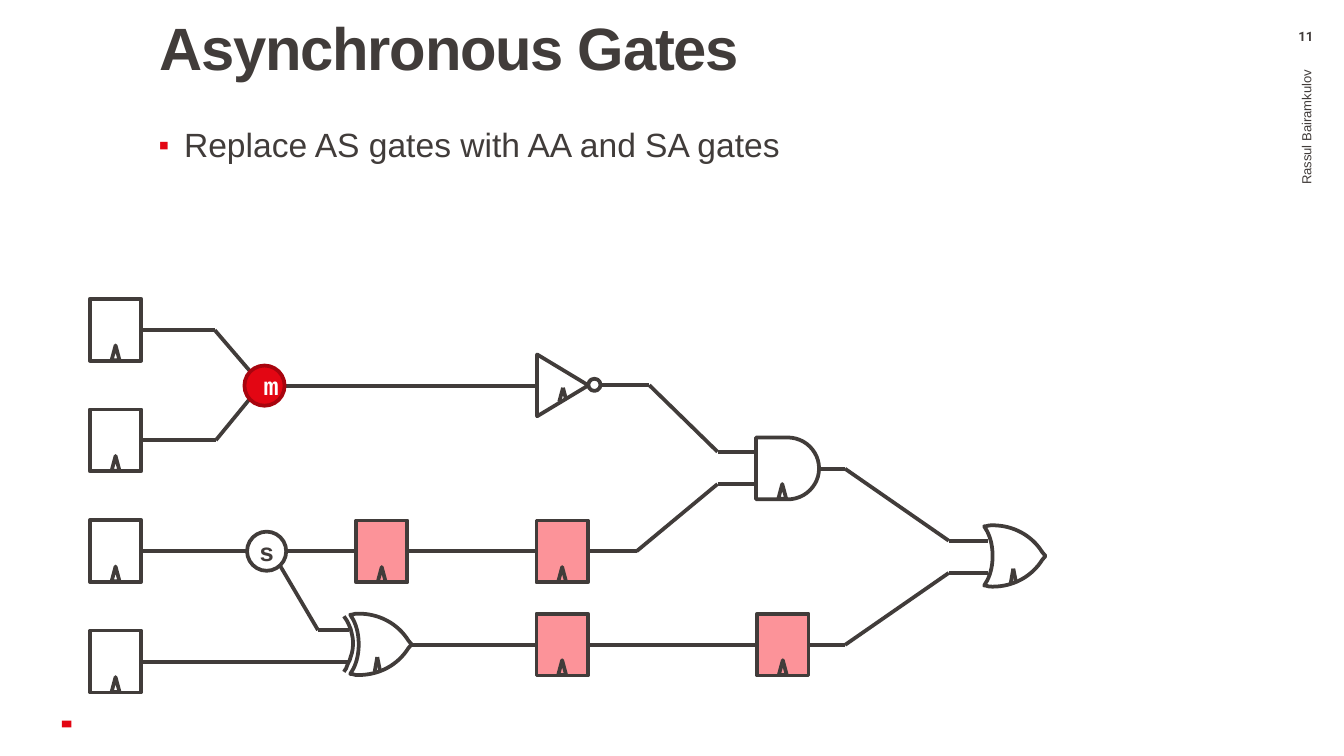
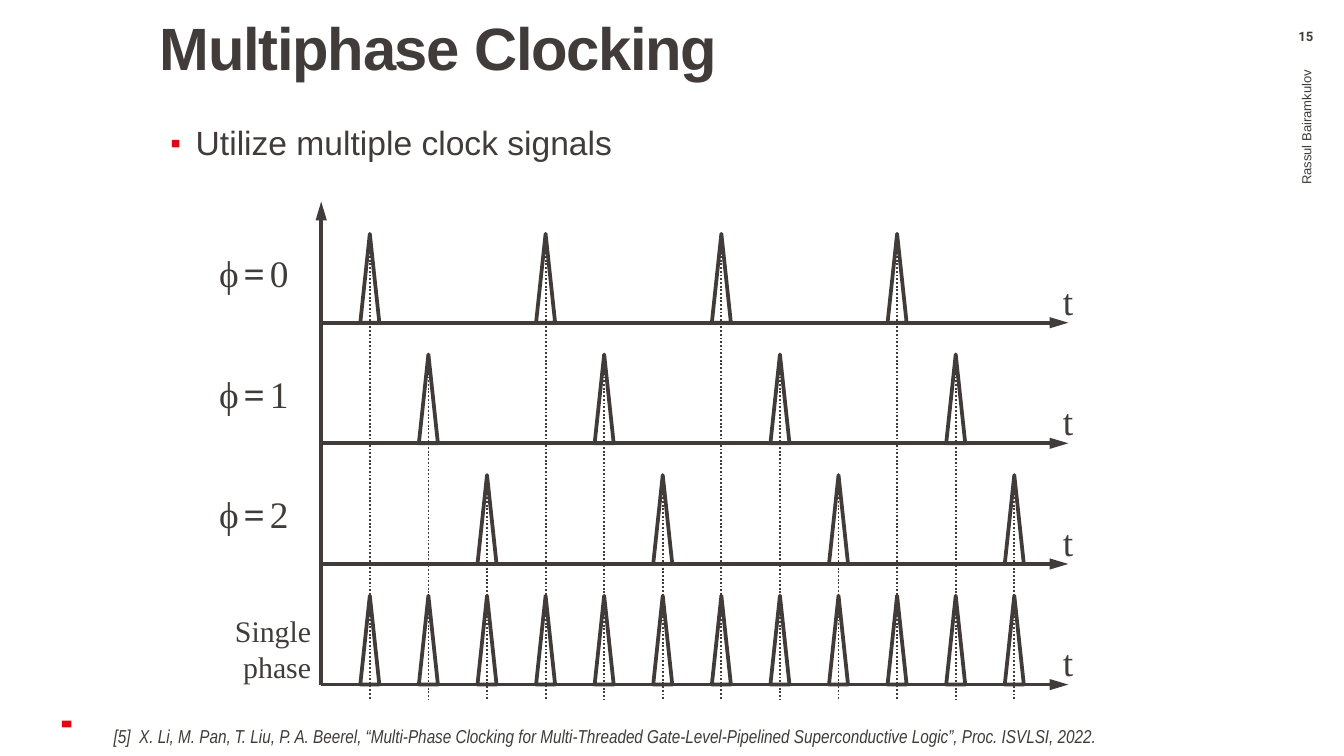
from dataclasses import dataclass
from typing import Optional

from lxml.etree import SubElement as Sub
from pptx import Presentation
from pptx.dml.color import RGBColor as RGB
from pptx.enum.dml import MSO_LINE as Dash
from pptx.enum.shapes import MSO_CONNECTOR as Link, MSO_SHAPE as Kind
from pptx.enum.text import MSO_ANCHOR as Anchor, MSO_AUTO_SIZE as Auto, PP_ALIGN as Align
from pptx.oxml.ns import qn
from pptx.util import Cm, Pt

INK = RGB(0x41, 0x3C, 0x3A)
RED = RGB(0xE3, 0x06, 0x13)
DARK = RGB(0xA8, 0x04, 0x0E)
PINK = RGB(0xFC, 0x93, 0x99)
WHITE = RGB(0xFF, 0xFF, 0xFF)
TITLE_ONLY = 5
Point = tuple[float, float]
Part = list[Point]


@dataclass(frozen=True)
class Box:
    x: float
    y: float
    w: float
    h: float

    def spread(self) -> list[Cm]:
        return [Cm(v) for v in (self.x, self.y, self.w, self.h)]


@dataclass(frozen=True)
class Look:
    size: float
    font: str = "Arial"
    color: RGB = INK
    bold: bool = False
    slant: bool = False


@dataclass(frozen=True)
class Flop:
    x: float
    y: float
    fill: RGB = WHITE


HEAD = Look(32, bold=True)
BODY = Look(18)
SIDE = Look(7)
PAGE = Look(7, "Roboto", bold=True)
NOTE = Look(10, "Arial Narrow", slant=True)
MATH = Look(20, "Times New Roman")
EQUAL = Look(20, "Times New Roman", bold=True)
SPACE = Look(10.5, "Times New Roman")
PHASE = Look(16, "Times New Roman")
SPLIT = Look(13.5, "Courier New", bold=True)
MERGE = Look(13.5, "Courier New", WHITE, bold=True)

FLOPS = [Flop(1.7, 5.65 + 2.09 * row) for row in range(4)] + [
    Flop(6.73, 9.84, PINK), Flop(10.14, 9.84, PINK),
    Flop(10.14, 11.6, PINK), Flop(14.31, 11.6, PINK),
]
WIRES: list[list[Point]] = [
    [(2.67, 6.24), (4.06, 6.24), (4.72, 7.01)],
    [(2.67, 8.32), (4.08, 8.32), (4.72, 7.54)],
    [(5.38, 7.29), (10.16, 7.29)],
    [(2.67, 10.42), (6.73, 10.42)],
    [(7.7, 10.42), (10.14, 10.42)],
    [(11.11, 10.42), (12.03, 10.42), (13.56, 9.15), (14.3, 9.15)],
    [(5.28, 10.67), (6.01, 11.91), (6.6, 11.91)],
    [(2.67, 12.51), (6.6, 12.51)],
    [(7.77, 12.19), (10.14, 12.19)],
    [(11.12, 12.19), (14.31, 12.19)],
    [(15.29, 12.19), (15.97, 12.19), (17.93, 10.83), (18.67, 10.83)],
    [(11.35, 7.28), (12.27, 7.28), (13.56, 8.54), (14.3, 8.54)],
    [(15.47, 8.86), (15.97, 8.86), (17.93, 10.22), (18.67, 10.22)],
]
BODY_ARC: list[Part] = [
    [(0.16, 0)],
    [(0.12, 0), (0.07, 0), (0.03, 0.02)],
    [(0, 0.02)],
    [(0.06, 0.12)],
    [(0.13, 0.26), (0.16, 0.42), (0.16, 0.58)],
    [(0.16, 0.74), (0.13, 0.9), (0.06, 1.04)],
    [(0, 1.14)],
    [(0.03, 1.14)],
    [(0.07, 1.16), (0.12, 1.16), (0.16, 1.16)],
    [(0.55, 1.16), (0.9, 0.97), (1.1, 0.65)],
    [(1.16, 0.58)],
    [(1.1, 0.51)],
    [(0.9, 0.19), (0.55, 0), (0.16, 0)],
]
BACK_ARC: list[Part] = [
    [(-0.12, 0.05)],
    [(-0.08, 0.1), (-0.05, 0.15), (-0.03, 0.2)],
    [(0, 0.26), (0.02, 0.32), (0.03, 0.38)],
    [(0.04, 0.43), (0.05, 0.46), (0.05, 0.5)],
    [(0.05, 0.54), (0.05, 0.58), (0.05, 0.62)],
    [(0.05, 0.66), (0.04, 0.71), (0.03, 0.75)],
    [(0.02, 0.79), (0, 0.83), (-0.01, 0.88)],
    [(-0.03, 0.91), (-0.04, 0.94), (-0.05, 0.96)],
    [(-0.06, 0.99), (-0.06, 1.01), (-0.08, 1.04)],
    [(-0.09, 1.06), (-0.12, 1.09), (-0.12, 1.1)],
]


def style(run, look: Look) -> None:
    font = run.font
    font.size, font.name = Pt(look.size), look.font
    font.bold, font.italic = look.bold, look.slant
    font.color.rgb = look.color


def setup(frame, pad: tuple, anchor=Anchor.TOP) -> None:
    frame.word_wrap = True
    frame.auto_size = Auto.NONE
    frame.vertical_anchor = anchor
    (frame.margin_left, frame.margin_top,
     frame.margin_right, frame.margin_bottom) = [Cm(v) for v in pad]


def write(shape, text: str, look: Look, pad: tuple = (0, 0, 0, 0),
          align=Align.LEFT, anchor=Anchor.TOP):
    frame = shape.text_frame
    frame.text = text
    setup(frame, pad, anchor)
    line = frame.paragraphs[0]
    line.alignment = align
    style(line.runs[0], look)
    return line


def label(slide, box: Box, text: str, look: Look, **more):
    shape = slide.shapes.add_textbox(*box.spread())
    write(shape, text, look, **more)
    return shape


def paint(shape, fill: Optional[RGB], edge: Optional[RGB] = INK):
    shape.shadow.inherit = False
    if fill is None:
        shape.fill.background()
    else:
        shape.fill.solid()
        shape.fill.fore_color.rgb = fill
    if edge is None:
        shape.line.fill.background()
    else:
        shape.line.color.rgb = edge
        shape.line.width = Pt(2)
    return shape


def solid(slide, kind, box: Box, fill: Optional[RGB] = WHITE, edge: Optional[RGB] = INK):
    return paint(slide.shapes.add_shape(kind, *box.spread()), fill, edge)


def wire(slide, start: Point, end: Point, width: float = 2):
    line = slide.shapes.add_connector(Link.STRAIGHT, *[Cm(v) for v in start + end])
    line.line.color.rgb = INK
    line.line.width = Pt(width)
    Sub(line._element.spPr, qn("a:effectLst"))
    return line


def route(slide, stops: list[Point]) -> None:
    for start, end in zip(stops, stops[1:]):
        wire(slide, start, end)


def arrow(slide, start: Point, end: Point) -> None:
    line = wire(slide, start, end)
    Sub(line.line._get_or_add_ln(), qn("a:tailEnd"), type="triangle", w="med", len="lg")


def trace(slide, x: float, y: float, parts: list[Part], fill: Optional[RGB], close: bool):
    dots = [(Cm(x + a), Cm(y + b)) for part in parts for a, b in part]
    pen = slide.shapes.build_freeform(*dots[0])
    pen.add_line_segments(dots[1:], close=close)
    shape = paint(pen.convert_to_shape(), fill)
    steps = iter(list(shape._element.spPr.iter(qn("a:lnTo"))))
    for part in parts[1:]:
        group = [next(steps) for _ in part]
        if len(group) == 3:
            bend = group[0].makeelement(qn("a:cubicBezTo"))
            group[0].addprevious(bend)
            for step in group:
                bend.append(step[0])
                step.getparent().remove(step)


def clock(slide, x: float, y: float, fill: RGB = WHITE) -> None:
    solid(slide, Kind.ISOSCELES_TRIANGLE, Box(x + 0.41, y + 0.88, 0.15, 0.28), fill)


def flop(slide, item: Flop) -> None:
    solid(slide, Kind.RECTANGLE, Box(item.x, item.y, 0.97, 1.17), item.fill)
    clock(slide, item.x, item.y, item.fill)


def or_gate(slide, x: float, y: float, tick: float = 0.55) -> None:
    trace(slide, x, y, BODY_ARC, WHITE, True)
    route(slide, [(x + tick - 0.05, y + 1.1), (x + tick, y + 0.82), (x + tick + 0.05, y + 1.07)])


def xor_gate(slide, x: float, y: float) -> None:
    or_gate(slide, x, y, 0.51)
    trace(slide, x, y, BACK_ARC, None, False)


def not_gate(slide) -> None:
    solid(slide, Kind.ISOSCELES_TRIANGLE, Box(10.05, 6.8, 1.17, 0.97)).rotation = 90
    solid(slide, Kind.OVAL, Box(11.12, 7.16, 0.23, 0.23))
    route(slide, [(10.57, 7.59), (10.64, 7.33), (10.69, 7.52)])


def and_gate(slide) -> None:
    solid(slide, Kind.FLOWCHART_DELAY, Box(14.29, 8.27, 1.19, 1.17))
    clock(slide, 14.3, 8.27)


def bullet(slide, box: Box, text: str) -> None:
    shape = label(slide, box, text, BODY, pad=(0.51, 0.13, 0.25, 0.13))
    line = shape.text_frame.paragraphs[0]
    line.line_spacing = 0.9
    line.space_before = Pt(7.5)
    props = line._p.get_or_add_pPr()
    props.set("marL", str(Cm(0.48)))
    props.set("indent", str(-Cm(0.48)))
    Sub(Sub(props, qn("a:buClr")), qn("a:srgbClr"), val=str(RED))
    Sub(props, qn("a:buSzPct"), val="90000")
    Sub(props, qn("a:buFont"), typeface="Arial")
    Sub(props, qn("a:buChar"), char="▪")


def start(deck, title: str, page: int):
    slide = deck.slides.add_slide(deck.slide_layouts[TITLE_ONLY])
    solid(slide, Kind.RECTANGLE, Box(1.17, 13.62, 0.18, 0.13), RED, None)
    head = slide.shapes.title
    head.left, head.top, head.width, head.height = Box(2.51, 0.36, 17.32, 1.52).spread()
    line = write(head, title, HEAD, pad=(0.51, 0, 0.2, 0.13))
    line.line_spacing = 0.9
    line.runs[0]._r.get_or_add_rPr().set("spc", "-70")
    side = label(slide, Box(19.77, 5.21, 9.83, 1.42), "Rassul Bairamkulov ", SIDE,
                 pad=(0.25, 0.13, 0.25, 0.13), align=Align.RIGHT, anchor=Anchor.MIDDLE)
    side.rotation = 270
    label(slide, Box(23.97, 0.53, 1.42, 0.46), str(page), PAGE,
          pad=(0.25, 0, 0.25, 0), align=Align.CENTER)
    return slide


def gates(deck) -> None:
    slide = start(deck, "Asynchronous Gates", 11)
    bullet(slide, Box(2.49, 2.3, 21.36, 1.96), "Replace AS gates with AA and SA gates")
    for stops in WIRES:
        route(slide, stops)
    for item in FLOPS:
        flop(slide, item)
    not_gate(slide)
    and_gate(slide)
    xor_gate(slide, 6.62, 11.6)
    or_gate(slide, 18.6, 9.93)
    split = solid(slide, Kind.OVAL, Box(4.67, 10.05, 0.74, 0.74))
    write(split, "s", SPLIT, align=Align.CENTER, anchor=Anchor.MIDDLE)
    merge = solid(slide, Kind.OVAL, Box(4.62, 6.91, 0.76, 0.76), RED, DARK)
    write(merge, "m", MERGE, pad=(0.25, 0.13, 0.25, 0.13),
          align=Align.CENTER, anchor=Anchor.MIDDLE)


def phi(slide, top: float, phase: int) -> None:
    frame = slide.shapes.add_textbox(*Box(4.14, top, 1.75, 0.86).spread()).text_frame
    setup(frame, (0, 0, 0, 0))
    parts = [("ϕ", MATH), (" ", SPACE), ("=", EQUAL), (" ", SPACE), (str(phase), MATH)]
    for text, look in parts:
        run = frame.paragraphs[0].add_run()
        run.text = text
        style(run, look)


def clocks(deck) -> None:
    slide = start(deck, "Multiphase Clocking", 15)
    bullet(slide, Box(2.71, 2.27, 19.94, 1.19), "Utilize multiple clock signals")
    left, high = 6.07, 1.68
    levels = [6.1 + 2.28 * row for row in range(4)]
    base = levels[-1]
    arrow(slide, (left, base), (left, 3.81))
    for level in levels:
        arrow(slide, (left, level), (20.19, level))
        label(slide, Box(20.09, level - 0.85, 0.36, 0.86), "t", MATH)
    for phase, level in enumerate(levels[:-1]):
        phi(slide, level - 1.37, phase)
    label(slide, Box(3.82, 11.57, 2.06, 1.37), "Single phase", PHASE,
          align=Align.RIGHT, anchor=Anchor.MIDDLE)
    first, last, beats = 6.99, 19.17, 12
    for beat in range(beats):
        mid = first + (last - first) * beat / (beats - 1)
        level = levels[beat % 3]
        for foot in (level, base):
            solid(slide, Kind.ISOSCELES_TRIANGLE,
                  Box(mid - 0.18, foot - high, 0.36, high), None)
        guide = wire(slide, (mid, level - high), (mid, 13.23), 1)
        guide.line.dash_style = Dash.ROUND_DOT
    note = solid(slide, Kind.RECTANGLE, Box(1.9, 13.57, 22.02, 0.69), WHITE, None)
    write(note, "[5]  X. Li, M. Pan, T. Liu, P. A. Beerel, “Multi-Phase Clocking for "
          "Multi-Threaded Gate-Level-Pipelined Superconductive Logic”, Proc. ISVLSI, 2022.",
          NOTE, pad=(0.25, 0.13, 0.25, 0.13))


def main() -> None:
    deck = Presentation()
    deck.slide_width, deck.slide_height = Cm(25.4), Cm(14.29)
    gates(deck)
    clocks(deck)
    deck.save("out.pptx")


if __name__ == "__main__":
    main()
